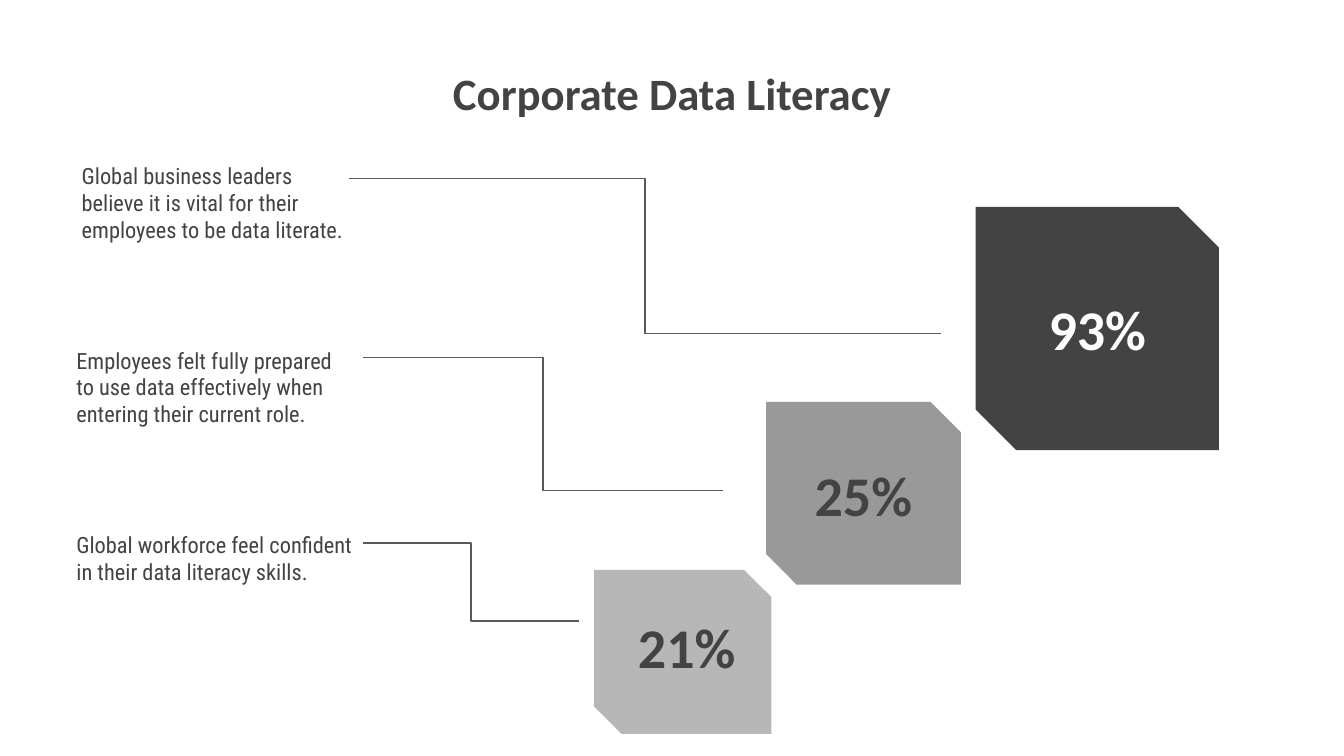
from lxml import etree
from pptx import Presentation
from pptx.dml.color import RGBColor
from pptx.enum.shapes import MSO_CONNECTOR as Connector, MSO_SHAPE as Shape
from pptx.enum.text import MSO_ANCHOR as Anchor, PP_ALIGN as Align
from pptx.oxml.ns import qn
from pptx.util import Inches, Pt

COLORS = {
    "dark": "434343",
    "mid": "999999",
    "light": "B7B7B7",
    "leader": "595959",
    "white": "FFFFFF",
}
HEADING_FONT = "Calibri"
BODY_FONT = "Roboto Condensed"


def rgb(name):
    """Return the named colour."""
    return RGBColor.from_string(COLORS[name])


def add_text(slide, box, text, *, size, font=HEADING_FONT, color="dark",
             bold=False, align=Align.CENTER, anchor=Anchor.TOP, after=0):
    """Place one formatted paragraph in a box of inches."""
    frame = slide.shapes.add_textbox(*map(Inches, box)).text_frame
    frame.word_wrap = True
    frame.vertical_anchor = anchor
    frame.margin_left = frame.margin_right = Inches(0.1)
    frame.margin_top = frame.margin_bottom = Inches(0.1)
    paragraph = frame.paragraphs[0]
    paragraph.alignment = align
    paragraph.space_after = Pt(after)
    run = paragraph.add_run()
    run.text = text
    run.font.name = font
    run.font.size = Pt(size)
    run.font.bold = bold
    run.font.color.rgb = rgb(color)


def add_leader(slide, left, top, width, height):
    """Draw the stepped line that leads from a statement to its badge."""
    leader = slide.shapes.add_connector(
        Connector.ELBOW, Inches(left), Inches(top),
        Inches(left + width), Inches(top + height))
    leader.line.color.rgb = rgb("leader")
    leader.line.width = Pt(0.75)
    etree.SubElement(leader._element.spPr, qn("a:effectLst"))


def add_badge(slide, box, value, value_box, fill, color):
    """Draw a snipped badge with its percentage."""
    left, top, width, height = box
    badge = slide.shapes.add_shape(Shape.SNIP_2_DIAG_RECTANGLE, *map(Inches, box))
    badge.adjustments[0] = 0
    badge.adjustments[1] = 0.167
    badge.shadow.inherit = False
    badge.fill.solid()
    badge.fill.fore_color.rgb = rgb(fill)
    badge.line.fill.background()
    dx, dy, value_width, value_height = value_box
    add_text(slide, (left + dx, top + dy, value_width, value_height), value,
             size=30, bold=True, color=color, anchor=Anchor.MIDDLE)


def add_statistic(slide, box, statement, statement_width, leader, badge_size,
                  value, value_box, fill, color="dark"):
    """Put a statement top left, its badge bottom right and a leader between."""
    left, top, width, height = box
    badge_width, badge_height = badge_size
    badge_box = (left + width - badge_width, top + height - badge_height,
                 badge_width, badge_height)
    add_badge(slide, badge_box, value, value_box, fill, color)
    dx, dy, leader_width, leader_height = leader
    add_leader(slide, left + dx, top + dy, leader_width, leader_height)
    add_text(slide, (left, top, statement_width, 0.82), statement, size=12,
             font=BODY_FONT, align=Align.LEFT, after=16)


def main():
    """Build the slide and save it."""
    deck = Presentation()
    deck.slide_width = Inches(10)
    deck.slide_height = deck.slide_width * 9 // 16
    slide = deck.slides.add_slide(deck.slide_layouts[6])

    add_text(slide, (2.15, 0.39, 5.7, 1.03), "Corporate Data Literacy",
             size=24, bold=True)
    add_statistic(
        slide, (0.51, 1.11, 8.56, 2.24),
        "Global business leaders believe it is vital for their employees "
        "to be data literate.",
        2.23, leader=(2.09, 0.22, 4.4, 1.15), badge_size=(1.81, 1.81),
        value="93%", value_box=(0.29, 0.57, 1.23, 0.67),
        fill="dark", color="white")
    add_statistic(
        slide, (0.47, 2.48, 6.68, 1.87),
        "Employees felt fully prepared to use data effectively when "
        "entering their current role.",
        2.13, leader=(2.23, 0.18, 2.68, 0.99), badge_size=(1.45, 1.36),
        value="25%", value_box=(0.11, 0.35, 1.23, 0.67), fill="mid")
    add_statistic(
        slide, (0.47, 3.85, 5.27, 1.61),
        "Global workforce feel confident in their data literacy skills.",
        2.35, leader=(2.23, 0.19, 1.61, 0.58), badge_size=(1.32, 1.22),
        value="21%", value_box=(0.17, 0.33, 1.04, 0.48), fill="light")

    deck.save("out.pptx")


if __name__ == "__main__":
    main()
